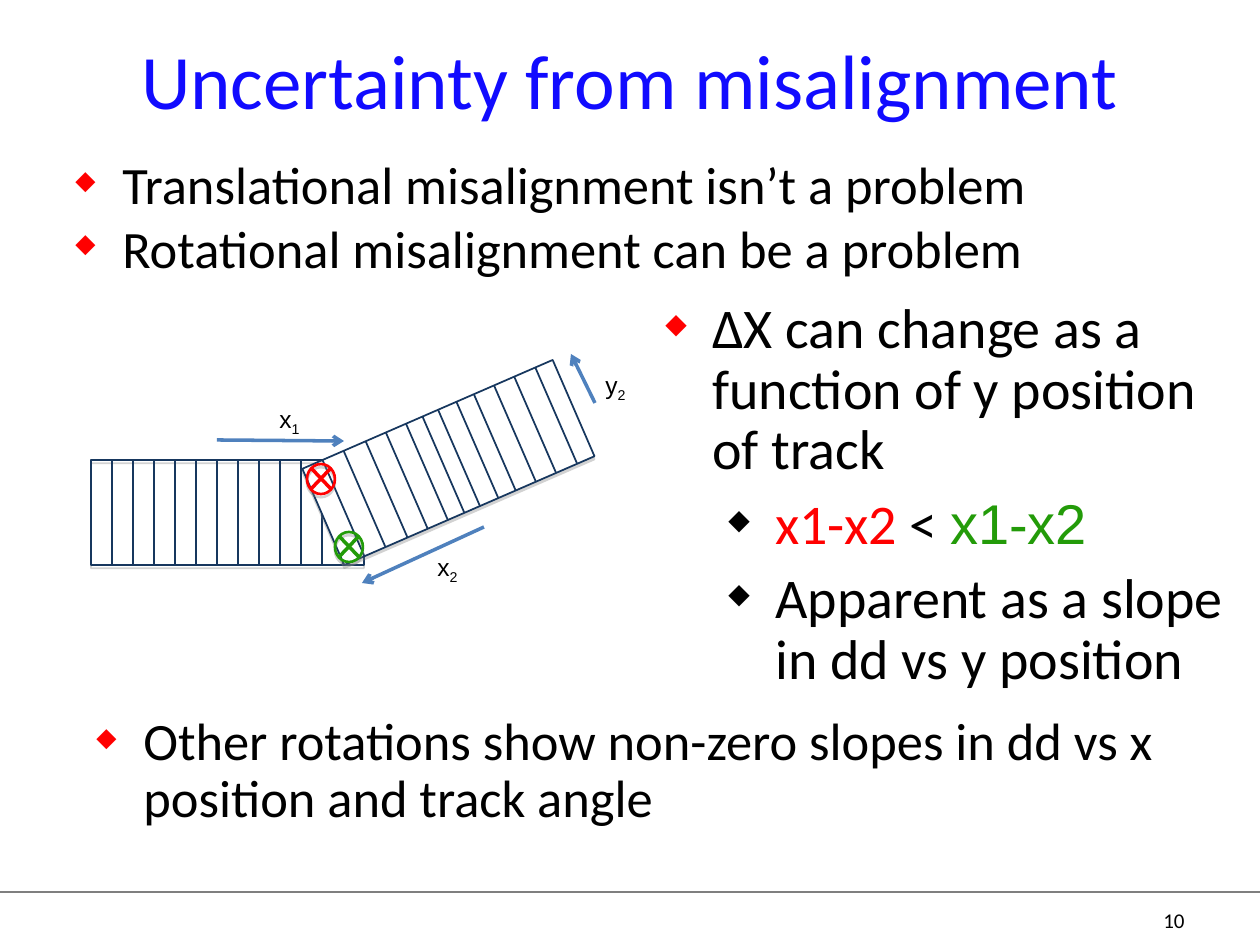
from dataclasses import dataclass
from math import cos, radians, sin

from lxml.etree import SubElement
from pptx import Presentation
from pptx.dml.color import RGBColor
from pptx.enum.shapes import MSO_CONNECTOR, MSO_SHAPE
from pptx.enum.text import MSO_ANCHOR, PP_ALIGN
from pptx.oxml.ns import qn
from pptx.util import Emu, Pt

PX_PER_INCH = 126
COLORS = {
    "title": "110BFF", "text": "000000", "red": "FF0000", "green": "239B09",
    "detector": "17375E", "arrow": "4F81BD", "rule": "7F7F7F",
    "shadow": "808080", "white": "FFFFFF",
}


@dataclass(frozen=True)
class Span:
    text: str
    color: str = ""
    font: str = ""
    baseline: int = 0


@dataclass(frozen=True)
class Para:
    spans: tuple[Span, ...]
    size: int
    color: str = "text"
    font: str = "Calibri"
    align: PP_ALIGN = PP_ALIGN.LEFT
    bullet: str = ""
    level: int = 0
    spacing: float = 1.0
    before: float = 0


@dataclass(frozen=True)
class Box:
    left: int
    top: int
    width: int
    height: int


@dataclass(frozen=True)
class Arrow:
    x1: int
    y1: int
    x2: int
    y2: int


@dataclass(frozen=True)
class Marker:
    left: int
    top: int
    color: str


@dataclass(frozen=True)
class AxisLabel:
    left: int
    top: int
    axis: str
    index: str


def px(value: float) -> Emu:
    return Emu(round(value * 914400 / PX_PER_INCH))


def rgb(name: str) -> RGBColor:
    return RGBColor.from_string(COLORS[name])


def add_bullet(paragraph, color: str, level: int) -> None:
    props = paragraph._p.get_or_add_pPr()
    props.set("marL", str(px(47 + 63 * level)))
    props.set("indent", str(-px(47)))
    tint = SubElement(props, qn("a:buClr"))
    SubElement(tint, qn("a:srgbClr"), val=COLORS[color])
    SubElement(props, qn("a:buSzPct"), val="50000")
    SubElement(props, qn("a:buChar"), char="◆")


def add_text(slide, box: Box, paras: list[Para], middle: bool = False) -> None:
    frame = slide.shapes.add_textbox(
        px(box.left), px(box.top), px(box.width), px(box.height)).text_frame
    frame.word_wrap = True
    frame.vertical_anchor = MSO_ANCHOR.MIDDLE if middle else MSO_ANCHOR.TOP
    for number, para in enumerate(paras):
        paragraph = frame.add_paragraph() if number else frame.paragraphs[0]
        if para.bullet:
            add_bullet(paragraph, para.bullet, para.level)
        paragraph.level = para.level
        paragraph.alignment = para.align
        paragraph.line_spacing = para.spacing
        paragraph.space_before = Pt(para.before)
        paragraph.font.size = Pt(para.size)
        paragraph.font.name = para.font
        paragraph.font.color.rgb = rgb(para.color)
        for span in para.spans:
            run = paragraph.add_run()
            run.text = span.text
            if span.color:
                run.font.color.rgb = rgb(span.color)
            if span.font:
                run.font.name = span.font
            if span.baseline:
                run._r.get_or_add_rPr().set("baseline", str(span.baseline * 1000))


def add_line(slide, start: tuple[float, float], end: tuple[float, float],
             color: str, width: float, arrow: bool = False) -> None:
    line = slide.shapes.add_connector(
        MSO_CONNECTOR.STRAIGHT, px(start[0]), px(start[1]), px(end[0]), px(end[1]))
    line.line.color.rgb = rgb(color)
    line.line.width = Pt(width)
    if arrow:
        SubElement(line.line._get_or_add_ln(), qn("a:tailEnd"), type="arrow")
    SubElement(line._element.spPr, qn("a:effectLst"))


def add_outline(slide, kind: MSO_SHAPE, box: Box, color: str, width: float,
                fill: str = "", rotation: float = 0) -> None:
    shape = slide.shapes.add_shape(
        kind, px(box.left), px(box.top), px(box.width), px(box.height))
    shape.rotation = rotation
    if fill:
        shape.fill.solid()
        shape.fill.fore_color.rgb = rgb(fill)
    else:
        shape.fill.background()
    shape.line.color.rgb = rgb(color)
    shape.line.width = Pt(width)
    shape.shadow.inherit = False
    effects = shape._element.spPr.find(qn("a:effectLst"))
    drop = SubElement(effects, qn("a:outerShdw"), dist=str(Pt(1.8)),
                      dir="5400000", rotWithShape="0")
    tint = SubElement(drop, qn("a:srgbClr"), val=COLORS["shadow"])
    SubElement(tint, qn("a:alpha"), val="35000")


def add_detector(slide, box: Box, strips: list[int], tilt: float = 0,
                 fill: str = "") -> None:
    """Draw a detector plane, with strips at offsets along its top edge."""
    add_outline(slide, MSO_SHAPE.RECTANGLE, box, "detector", 1, fill, tilt % 360)
    c, s = cos(radians(tilt)), sin(radians(tilt))
    middle_x, middle_y = box.left + box.width / 2, box.top + box.height / 2

    def turned(x: float, y: float) -> tuple[float, float]:
        return middle_x + x * c - y * s, middle_y + x * s + y * c

    for offset in strips:
        x = offset - box.width / 2
        add_line(slide, turned(x, -box.height / 2), turned(x, box.height / 2),
                 "detector", 1)


def add_marker(slide, marker: Marker) -> None:
    x, y = marker.left, marker.top
    add_outline(slide, MSO_SHAPE.OVAL, Box(x, y, 28, 30), marker.color, 1.5)
    add_line(slide, (x + 4, y + 4), (x + 24, y + 25), marker.color, 2)
    add_line(slide, (x + 24, y + 4), (x + 4, y + 25), marker.color, 2)


def point(text: str, size: int, spacing: float, before: float) -> Para:
    return Para((Span(text),), size, bullet="red", spacing=spacing, before=before)


def subpoint(*spans: Span) -> Para:
    return Para(spans, 32, bullet="text", level=1, spacing=0.9, before=8)


def main() -> None:
    deck = Presentation()
    deck.slide_width, deck.slide_height = px(1260), px(945)
    slide = deck.slides.add_slide(deck.slide_layouts[6])

    # Footer rule, title and page number
    add_line(slide, (0, 892), (1260, 892), "rule", 1)
    add_text(slide, Box(63, 0, 1134, 158),
             [Para((Span("Uncertainty from misalignment"),), 44, "title",
                   align=PP_ALIGN.CENTER)], middle=True)
    add_text(slide, Box(903, 895, 294, 50),
             [Para((Span("10"),), 12, align=PP_ALIGN.RIGHT)], middle=True)

    # Bullet points
    add_text(slide, Box(63, 158, 1134, 136), [
        point("Translational misalignment isn’t a problem", 30, 0.8, 7.5),
        point("Rotational misalignment can be a problem", 30, 0.8, 7.5)])
    add_text(slide, Box(653, 294, 607, 416), [
        point("ΔX can change as a function of y position of track", 32, 0.9, 8),
        subpoint(Span("x1-x2 ", "red"), Span("< "), Span("x1-x2", "green", "Arial")),
        subpoint(Span("Apparent as a slope in dd vs y position"))])
    add_text(slide, Box(84, 709, 1134, 136), [
        point("Other rotations show non-zero slopes in dd vs x position "
              "and track angle", 30, 0.9, 7.5)])

    # Straight and tilted detector planes
    add_detector(slide, Box(91, 460, 273, 105), list(range(21, 273, 21)))
    add_detector(slide, Box(312, 410, 273, 105),
                 [22, 45, 69, 91, 113, 131, 148, 168, 187, 209, 231, 254],
                 tilt=-23.5, fill="white")

    # Track crossings
    for marker in (Marker(335, 532, "green"), Marker(307, 464, "red")):
        add_marker(slide, marker)

    # Axis arrows and labels, the labels wide enough for one line
    for axis in (Arrow(484, 527, 362, 583), Arrow(217, 440, 344, 441),
                 Arrow(595, 403, 571, 354)):
        add_line(slide, (axis.x1, axis.y1), (axis.x2, axis.y2), "arrow", 2, arrow=True)
    for label in (AxisLabel(267, 398, "x", "1"), AxisLabel(425, 546, "x", "2"),
                  AxisLabel(593, 364, "y", "2")):
        add_text(slide, Box(label.left, label.top, 52, 47),
                 [Para((Span(label.axis), Span(label.index, baseline=-25)), 14,
                       font="Arial")])

    deck.save("out.pptx")


if __name__ == "__main__":
    main()
